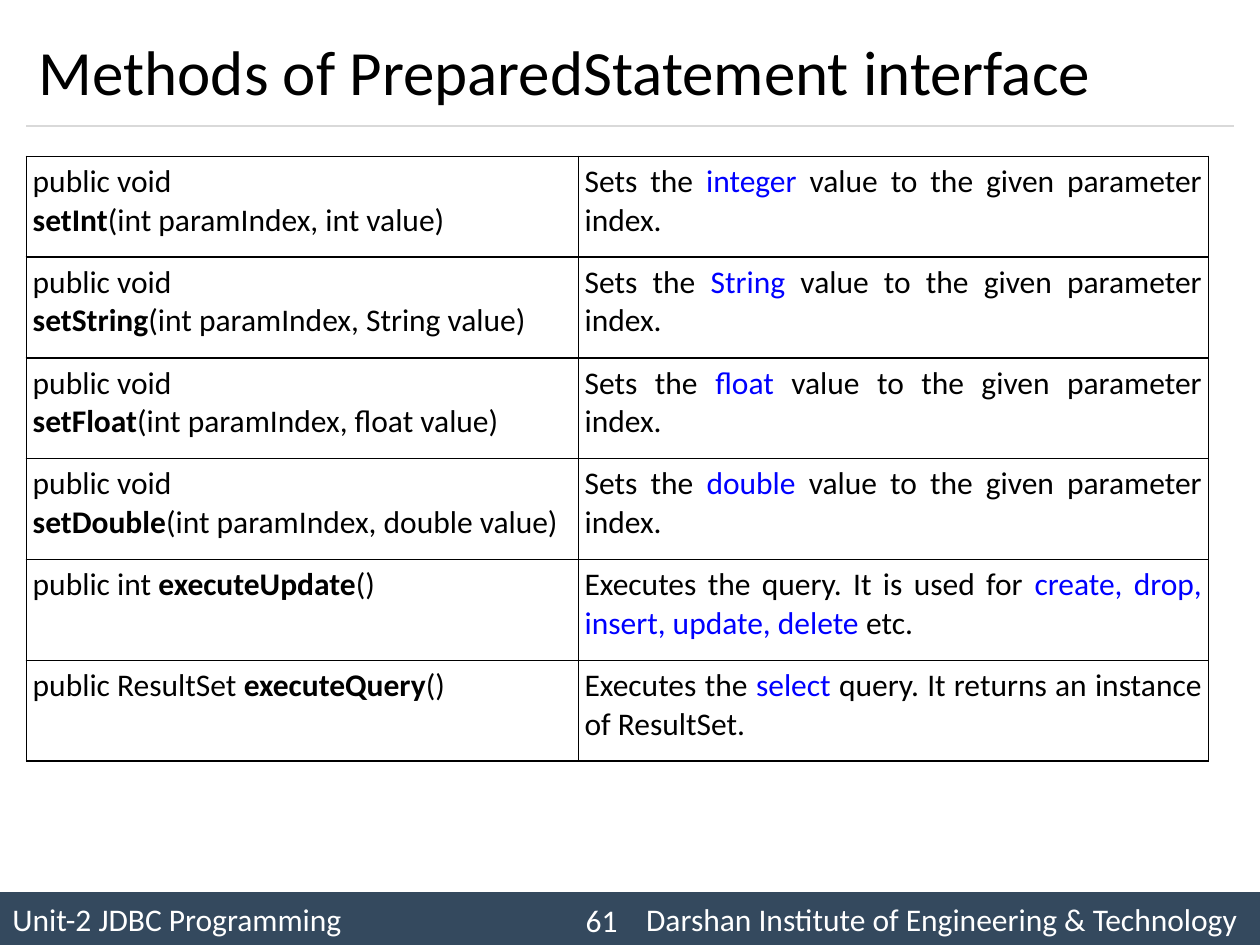
from lxml.etree import SubElement
from pptx import Presentation
from pptx.dml.color import RGBColor
from pptx.enum.shapes import MSO_CONNECTOR as CONN, MSO_SHAPE as SHAPE
from pptx.enum.text import MSO_ANCHOR as ANCHOR, PP_ALIGN as ALIGN
from pptx.oxml.ns import qn
from pptx.util import Inches, Pt

BLACK = RGBColor(0x00, 0x00, 0x00)
WHITE = RGBColor(0xFF, 0xFF, 0xFF)
BLUE = RGBColor(0x00, 0x00, 0xFF)
NAVY = RGBColor(0x34, 0x49, 0x5E)
GREY = RGBColor(0xD9, 0xD9, 0xD9)

BOLD = {"bold": True}
KEYWORD = {"color": BLUE}

LEFT = 0.21
TABLE_TOP = 1.24
ROW_HEIGHT = 0.8
COLUMNS = (4.38, 5)


def set_row(method, kind):
    signature = [(method, BOLD), (f"(int paramIndex, {kind} value)", {})]
    description = [("Sets the ", {}), (kind, KEYWORD),
                   (" value to the given parameter index.", {})]
    return [[("public void", {})], signature], [description]


def execute_row(result, method, *description):
    return [[(f"public {result} ", {}), (method, BOLD), ("()", {})]], [description]


METHODS = [
    set_row("setInt", "int"),
    set_row("setString", "String"),
    set_row("setFloat", "float"),
    set_row("setDouble", "double"),
    execute_row("int", "executeUpdate",
                ("Executes the query. It is used for ", {}),
                ("create, drop, insert, update, delete", KEYWORD), (" etc.", {})),
    execute_row("ResultSet", "executeQuery",
                ("Executes the ", {}), ("select", KEYWORD),
                (" query. It returns an instance of ResultSet.", {})),
]
METHODS[0][1][0][1] = ("integer", KEYWORD)


class SlideBuilder:
    font = {"name": "Calibri", "size": 18, "color": BLACK, "bold": False}

    def __init__(self, slide):
        self.slide = slide

    def add_text(self, tf, paragraphs, align=ALIGN.LEFT, **style):
        for i, runs in enumerate(paragraphs):
            p = tf.paragraphs[0] if i == 0 else tf.add_paragraph()
            p.alignment = align
            for text, changes in runs:
                r = p.add_run()
                r.text = text
                fmt = {**self.font, **style, **changes}
                r.font.color.rgb = fmt.pop("color")
                fmt["size"] = Pt(fmt["size"])
                for name, value in fmt.items():
                    setattr(r.font, name, value)

    def text_box(self, box, text, align=ALIGN.LEFT, **style):
        sp = self.slide.shapes.add_textbox(*map(Inches, box))
        tf = sp.text_frame
        tf.word_wrap = True
        tf.vertical_anchor = ANCHOR.MIDDLE
        self.add_text(tf, [[(text, {})]], align, **style)

    def bar(self, box, text, tab):
        sp = self.slide.shapes.add_shape(SHAPE.RECTANGLE, *map(Inches, box))
        sp.shadow.inherit = False
        sp.fill.solid()
        sp.fill.fore_color.rgb = NAVY
        sp.line.fill.background()
        tf = sp.text_frame
        tf.vertical_anchor = ANCHOR.MIDDLE
        tabs = SubElement(tf.paragraphs[0]._p.get_or_add_pPr(), qn("a:tabLst"))
        SubElement(tabs, qn("a:tab"), pos=str(Inches(tab)), algn="l")
        self.add_text(tf, [[(text, {})]], color=WHITE)

    def rule(self, x1, x2, y):
        line = self.slide.shapes.add_connector(
            CONN.STRAIGHT, *map(Inches, (x1, y, x2, y)))
        line.line.color.rgb = GREY
        line.line.width = Pt(0.75)
        SubElement(line._element.spPr, qn("a:effectLst"))

    def border(self, cell):
        tc_pr = cell._tc.get_or_add_tcPr()
        for side in "LRTB":
            ln = SubElement(tc_pr, qn(f"a:ln{side}"), w=str(Pt(1)))
            fill = SubElement(ln, qn("a:solidFill"))
            SubElement(fill, qn("a:srgbClr"), val=str(BLACK))

    def table_row(self, top, contents):
        box = (LEFT, top, sum(COLUMNS), ROW_HEIGHT)
        table = self.slide.shapes.add_table(
            1, len(COLUMNS), *map(Inches, box)).table
        table.first_row = table.horz_banding = False
        for column, width in zip(table.columns, COLUMNS):
            column.width = Inches(width)
        for cell, paragraphs in zip(table.rows[0].cells, contents):
            for side in ("left", "right", "top", "bottom"):
                setattr(cell, f"margin_{side}", Inches(0.05))
            self.border(cell)
            cell.fill.background()
            self.add_text(cell.text_frame, paragraphs, ALIGN.JUSTIFY)


def main():
    prs = Presentation()
    prs.slide_width, prs.slide_height = Inches(10), Inches(7.5)
    s = SlideBuilder(prs.slides.add_slide(prs.slide_layouts[6]))
    s.bar((0, 7.08, 10, 0.42),
          "Unit-2 JDBC Programming\tDarshan Institute of Engineering & Technology",
          tab=5.03)
    s.rule(LEFT, 10 - LEFT, 1)
    s.text_box((LEFT, 0.12, 9.58, 0.88),
               "Methods of PreparedStatement interface", size=36)
    s.text_box((4.17, 7.1, 0.83, 0.4), "61", ALIGN.RIGHT, color=WHITE)
    for i, contents in enumerate(METHODS):
        s.table_row(TABLE_TOP + i * ROW_HEIGHT, contents)
    prs.save("out.pptx")


if __name__ == "__main__":
    main()
